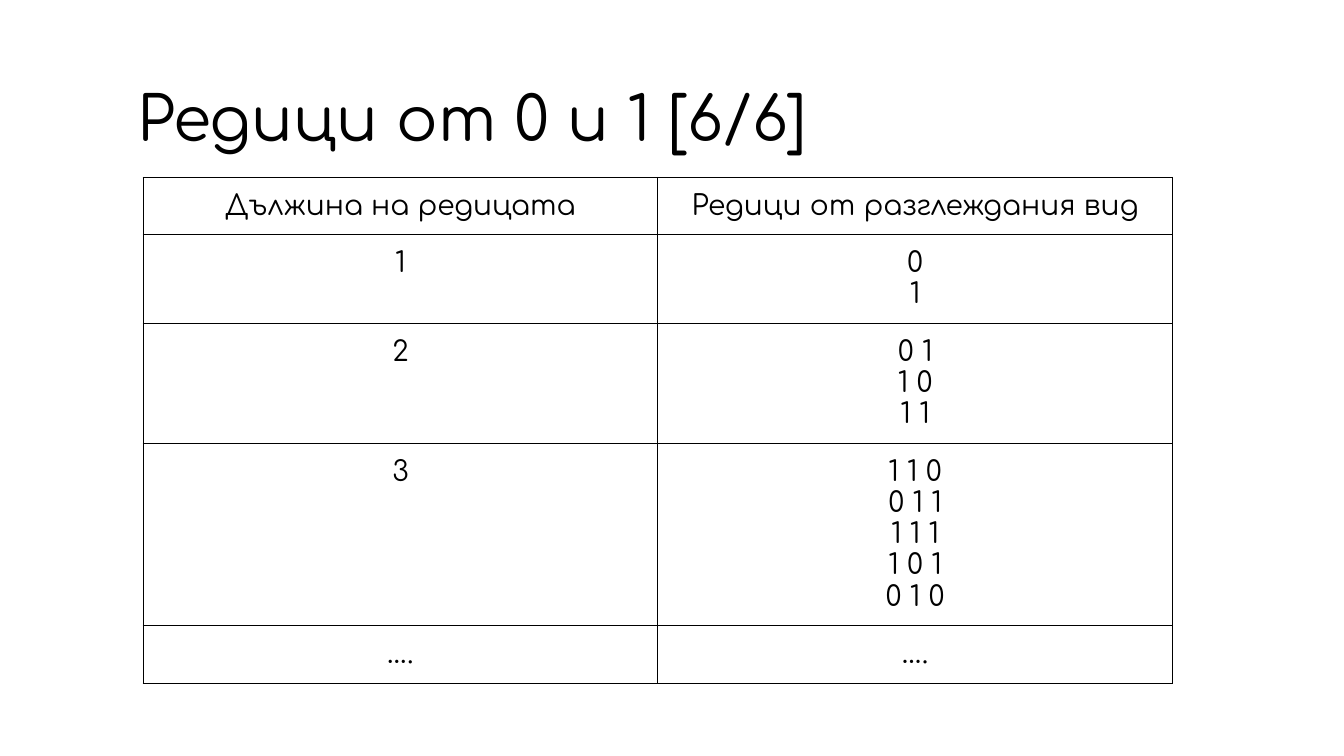
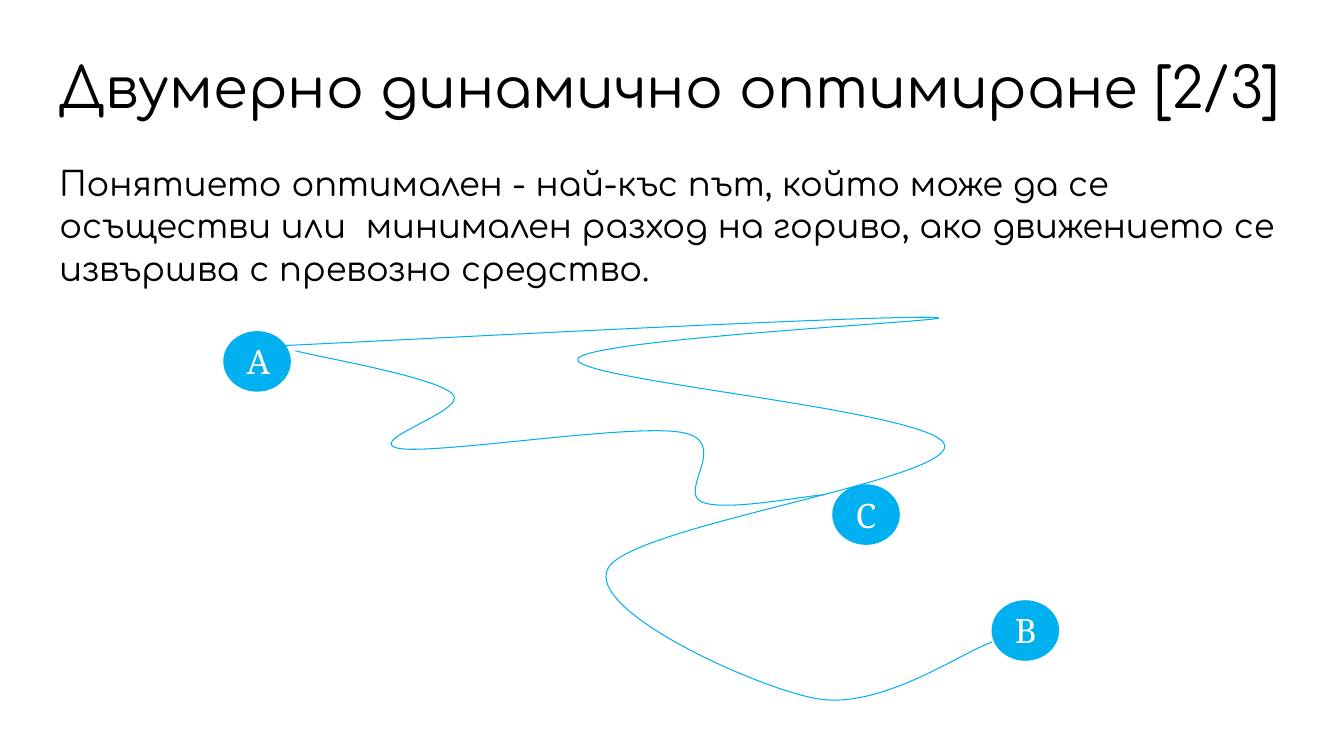
from dataclasses import dataclass

from pptx import Presentation
from pptx.dml.color import RGBColor
from pptx.enum.shapes import MSO_SHAPE
from pptx.enum.text import MSO_ANCHOR, PP_ALIGN
from pptx.oxml import parse_xml
from pptx.oxml.ns import nsdecls, qn
from pptx.util import Inches, Pt

OVAL = MSO_SHAPE.OVAL
TOP, MIDDLE = MSO_ANCHOR.TOP, MSO_ANCHOR.MIDDLE
LEFT, CENTER = PP_ALIGN.LEFT, PP_ALIGN.CENTER


@dataclass(frozen=True)
class Theme:
    ink: RGBColor = RGBColor(0x00, 0x00, 0x00)
    paper: RGBColor = RGBColor(0xFF, 0xFF, 0xFF)
    accent: RGBColor = RGBColor(0x00, 0xB0, 0xF0)
    text_font: str = "Comfortaa"
    node_font: str = "Cambria"
    title_size: int = 44
    long_title_size: int = 40
    body_size: int = 24
    table_size: int = 20
    line_width: float = 0.75
    border_width: float = 1


THEME = Theme()
BOX_INSETS = (0.12, 0.04)
CELL_INSETS = (0.13, 0.13)
TITLE_HEIGHT = 0.84
TITLE_SPACING = 0.9
BODY_SPACING = 1.06
ROW_HEIGHT = 0.52
EXTRA_LINE = 0.29
NODE_SIZE = (0.66, 0.59)

SEQUENCES = [
    ("Дължина на редицата", ["Редици от разглеждания вид"]),
    ("1", ["0", "1"]),
    ("2", ["0 1", "1 0", "1 1"]),
    ("3", ["1 1 0", "0 1 1", "1 1 1", "1 0 1", "0 1 0"]),
    ("….", ["…."]),
]
NODES = [("А", 2.22, 3.29), ("В", 9.84, 5.96), ("С", 8.26, 4.81)]
LONG_ROUTE = [
    (2.79, 3.43),
    (3.87, 3.38), (8.78, 3.12), (9.27, 3.15),
    (9.76, 3.17), (5.71, 3.36), (5.73, 3.57),
    (5.75, 3.78), (9.32, 4.08), (9.37, 4.42),
    (9.42, 4.77), (6.24, 5.22), (6.03, 5.64),
    (5.81, 6.05), (7.46, 6.81), (8.09, 6.93),
    (8.73, 7.05), (9.54, 6.47), (9.84, 6.37),
]
SHORT_ROUTE = [
    (2.93, 3.48),
    (3.19, 3.55), (4.32, 3.74), (4.49, 3.91),
    (4.66, 4.07), (3.58, 4.38), (3.96, 4.45),
    (4.34, 4.51), (6.26, 4.20), (6.76, 4.29),
    (7.26, 4.38), (6.72, 4.87), (6.96, 4.98),
    (7.19, 5.08), (7.97, 4.92), (8.17, 4.91),
]


def apply_format(target, values):
    for name, value in values.items():
        setattr(target, name, value)


def set_insets(target, insets):
    side, edge = map(Inches, insets)
    apply_format(target, {
        "margin_left": side, "margin_right": side,
        "margin_top": edge, "margin_bottom": edge,
    })


def write_text(frame, lines, size, font=THEME.text_font, color=THEME.ink,
               align=LEFT, spacing=1.0):
    for index, line in enumerate(lines):
        para = frame.add_paragraph() if index else frame.paragraphs[0]
        apply_format(para, {"alignment": align, "line_spacing": spacing})
        span = para.add_run()
        span.text = line
        apply_format(span.font, {"name": font, "size": Pt(size)})
        span.font.color.rgb = color


def add_text(page, area, text, size, spacing, anchor=TOP):
    box = page.shapes.add_textbox(*map(Inches, area))
    frame = box.text_frame
    apply_format(frame, {"word_wrap": True, "vertical_anchor": anchor})
    set_insets(frame, BOX_INSETS)
    write_text(frame, [text], size, spacing=spacing)


def add_title(page, left, top, width, text, size):
    add_text(page, (left, top, width, TITLE_HEIGHT), text, size,
             TITLE_SPACING, MIDDLE)


def set_borders(cell):
    properties = cell._tc.get_or_add_tcPr()
    for side in ("lnL", "lnR", "lnT", "lnB"):
        properties.append(parse_xml(
            f'<a:{side} {nsdecls("a")} w="{Pt(THEME.border_width)}">'
            f'<a:solidFill><a:srgbClr val="{THEME.ink}"/></a:solidFill>'
            f'</a:{side}>'
        ))


def fill_cell(cell, lines):
    set_borders(cell)
    cell.fill.background()
    set_insets(cell, CELL_INSETS)
    write_text(cell.text_frame, lines, THEME.table_size, align=CENTER)


def add_sequence_table(page, left, top, width):
    heights = [ROW_HEIGHT + EXTRA_LINE * (len(lines) - 1)
               for _, lines in SEQUENCES]
    area = map(Inches, (left, top, width, sum(heights)))
    table = page.shapes.add_table(len(SEQUENCES), 2, *area).table
    apply_format(table, {"first_row": False, "horz_banding": False})
    for row, height, (length, lines) in zip(table.rows, heights, SEQUENCES):
        row.height = Inches(height)
        fill_cell(row.cells[0], [length])
        fill_cell(row.cells[1], lines)


def set_line(shape):
    shape.shadow.inherit = False
    shape.line.color.rgb = THEME.accent
    shape.line.width = Pt(THEME.line_width)


def add_node(page, letter, left, top):
    node = page.shapes.add_shape(
        OVAL, *map(Inches, (left, top, *NODE_SIZE)))
    set_line(node)
    node.fill.solid()
    node.fill.fore_color.rgb = THEME.accent
    node.text_frame.vertical_anchor = MIDDLE
    set_insets(node.text_frame, CELL_INSETS)
    write_text(node.text_frame, [letter], THEME.body_size,
               THEME.node_font, THEME.paper)


def add_route(page, points):
    start, *rest = [(Inches(x), Inches(y)) for x, y in points]
    builder = page.shapes.build_freeform(*start)
    builder.add_line_segments(rest, close=False)
    route = builder.convert_to_shape()
    set_line(route)
    route.fill.background()
    segments = list(route._element.iter(qn("a:lnTo")))
    for index in range(0, len(segments), 3):
        curve = parse_xml(f'<a:cubicBezTo {nsdecls("a")}/>')
        segments[index].addprevious(curve)
        for segment in segments[index:index + 3]:
            curve.append(segment[0])
            segment.getparent().remove(segment)


def build_sequences(page):
    add_sequence_table(page, 1.42, 1.76, 10.21)
    add_title(page, 1.24, 0.79, 11.27, "Редици от 0 и 1 [6/6]",
              THEME.title_size)


def build_routes(page):
    add_text(
        page, (0.47, 1.55, 12.4, 4.98),
        "Понятието оптимален - най-къс път, който може да се осъществи или  "
        "минимален разход на гориво, ако движението се извършва с превозно "
        "средство.",
        THEME.body_size, BODY_SPACING)
    add_title(page, 0.46, 0.48, 12.42, "Двумерно динамично оптимиране [2/3]",
              THEME.long_title_size)
    for points in (LONG_ROUTE, SHORT_ROUTE):
        add_route(page, points)
    for node in NODES:
        add_node(page, *node)


def main():
    deck = Presentation()
    apply_format(deck, {"slide_width": Inches(13.33),
                        "slide_height": Inches(7.5)})
    for build in (build_sequences, build_routes):
        build(deck.slides.add_slide(deck.slide_layouts[6]))
    deck.save("out.pptx")


if __name__ == "__main__":
    main()
